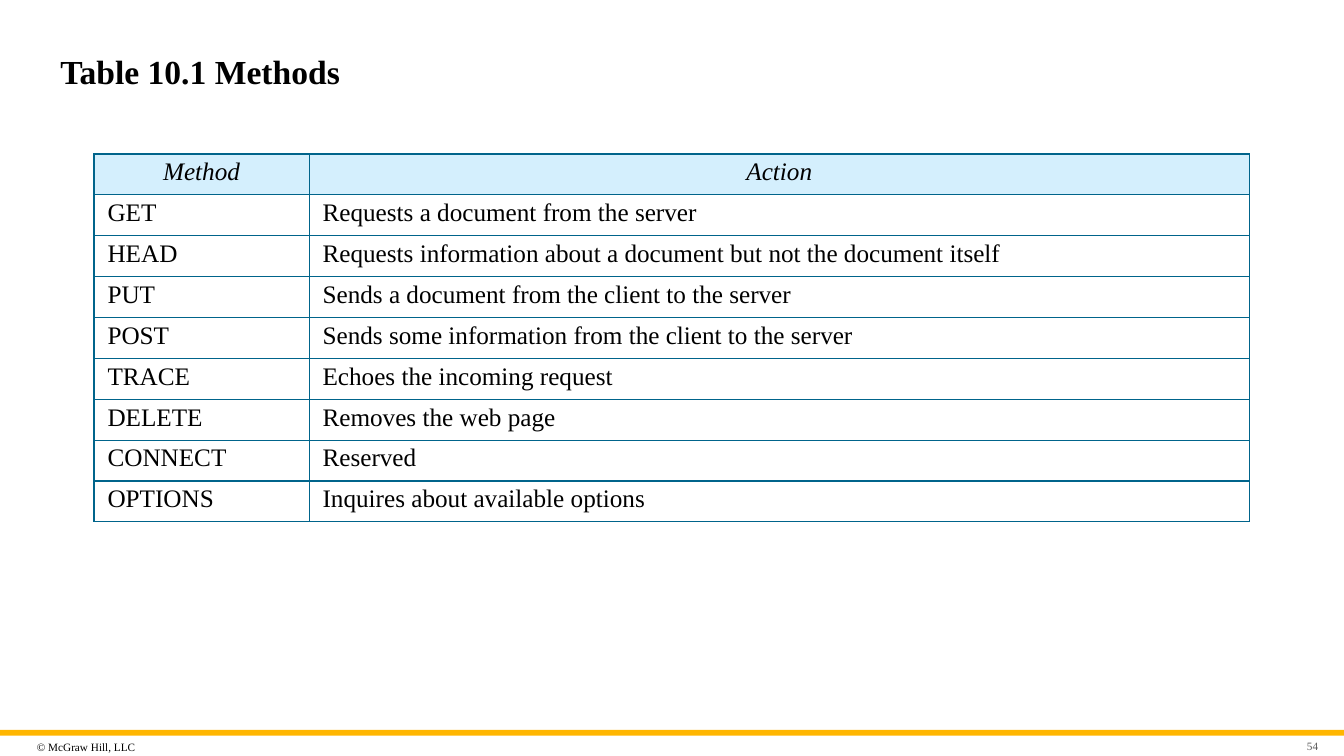
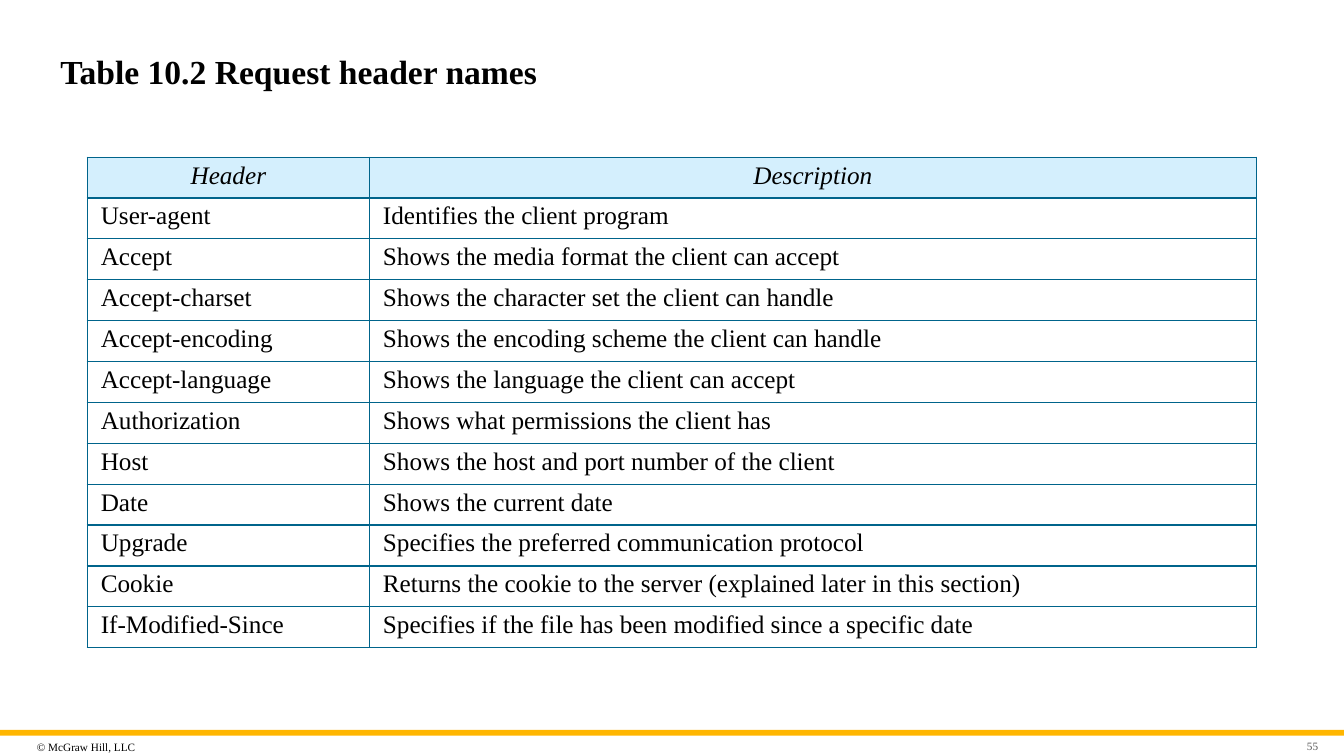
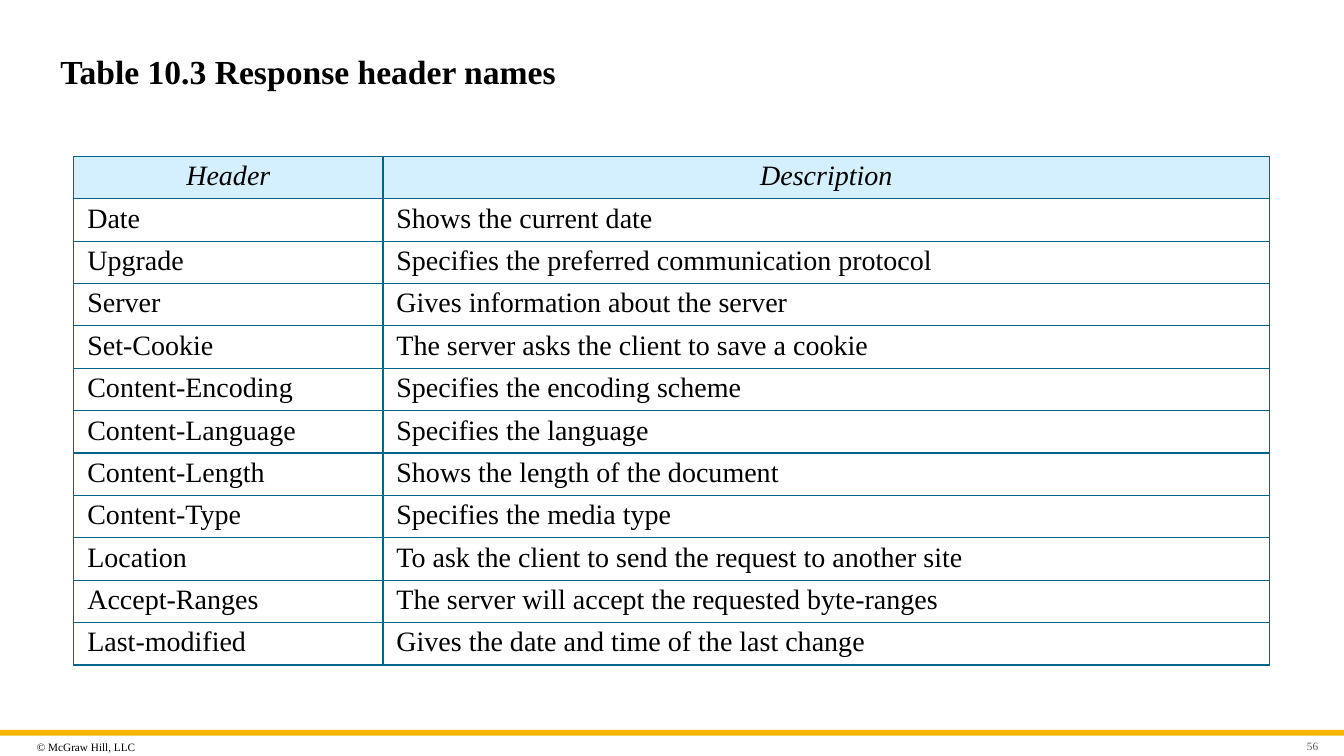
"""Build three slides with tables of web methods and header names."""
from dataclasses import dataclass

from lxml import etree
from pptx import Presentation
from pptx.dml.color import RGBColor
from pptx.enum.shapes import MSO_SHAPE
from pptx.enum.text import MSO_ANCHOR, PP_ALIGN
from pptx.oxml.ns import qn
from pptx.util import Cm, Pt

RECTANGLE = MSO_SHAPE.RECTANGLE
MIDDLE = MSO_ANCHOR.MIDDLE
LEFT, CENTER, RIGHT = PP_ALIGN.LEFT, PP_ALIGN.CENTER, PP_ALIGN.RIGHT
BLANK_LAYOUT = 6
PAGE_WIDTH, PAGE_HEIGHT = 33.87, 19.05
FIRST_NUMBER = 54
COPYRIGHT = "© McGraw Hill, LLC"


@dataclass(frozen=True)
class Theme:
    """Colours, font and type sizes shared by all slides."""

    font: str = "Times New Roman"
    ink: str = "000000"
    muted: str = "595959"
    band: str = "FFB600"
    header: str = "D4EFFD"
    border: str = "00648B"
    border_width: float = 1
    title_size: int = 24
    footer_size: int = 8


THEME = Theme()


@dataclass(frozen=True)
class TablePage:
    """The title, table geometry in centimetres and rows of one slide."""

    title: str
    left: float
    top: float
    columns: tuple
    row_height: float
    size: int
    rows: tuple


PAGES = (
    TablePage("Table 10.1 Methods", 2.37, 3.88, (5.42, 23.7), 1.03, 18, (
        ("Method", "Action"),
        ("GET", "Requests a document from the server"),
        ("HEAD", "Requests information about a document but not the document itself"),
        ("PUT", "Sends a document from the client to the server"),
        ("POST", "Sends some information from the client to the server"),
        ("TRACE", "Echoes the incoming request"),
        ("DELETE", "Removes the web page"),
        ("CONNECT", "Reserved"),
        ("OPTIONS", "Inquires about available options"),
    )),
    TablePage("Table 10.2 Request header names", 2.2, 3.96, (7.11, 22.35), 1.03, 18, (
        ("Header", "Description"),
        ("User-agent", "Identifies the client program"),
        ("Accept", "Shows the media format the client can accept"),
        ("Accept-charset", "Shows the character set the client can handle"),
        ("Accept-encoding", "Shows the encoding scheme the client can handle"),
        ("Accept-language", "Shows the language the client can accept"),
        ("Authorization", "Shows what permissions the client has"),
        ("Host", "Shows the host and port number of the client"),
        ("Date", "Shows the current date"),
        ("Upgrade", "Specifies the preferred communication protocol"),
        ("Cookie", "Returns the cookie to the server (explained later in this section)"),
        ("If-Modified-Since", "Specifies if the file has been modified since a specific date"),
    )),
    TablePage("Table 10.3 Response header names", 1.86, 3.94, (7.79, 22.35), 1.04, 20, (
        ("Header", "Description"),
        ("Date", "Shows the current date"),
        ("Upgrade", "Specifies the preferred communication protocol"),
        ("Server", "Gives information about the server"),
        ("Set-Cookie", "The server asks the client to save a cookie"),
        ("Content-Encoding", "Specifies the encoding scheme"),
        ("Content-Language", "Specifies the language"),
        ("Content-Length", "Shows the length of the document"),
        ("Content-Type", "Specifies the media type"),
        ("Location", "To ask the client to send the request to another site"),
        ("Accept-Ranges", "The server will accept the requested byte-ranges"),
        ("Last-modified", "Gives the date and time of the last change"),
    )),
)


def write(frame, text, size, color=THEME.ink, align=LEFT, bold=False, italic=False):
    """Put one styled paragraph into a text frame."""
    para = frame.paragraphs[0]
    para.text = text
    para.alignment = align
    font = para.font
    font.name, font.size = THEME.font, Pt(size)
    font.bold, font.italic = bold, italic
    font.color.rgb = RGBColor.from_string(color)


def add_text(page, place, text, size, inset, **style):
    """Add a wrapped, vertically centred text box."""
    box = page.shapes.add_textbox(*map(Cm, place))
    frame = box.text_frame
    frame.word_wrap = True
    frame.vertical_anchor = MIDDLE
    frame.margin_left = frame.margin_right = Cm(inset)
    frame.margin_top = frame.margin_bottom = Cm(0.13)
    write(frame, text, size, **style)


def add_band(page):
    """Add the coloured band above the footer."""
    band = page.shapes.add_shape(RECTANGLE, 0, Cm(18.39), Cm(PAGE_WIDTH), Cm(0.15))
    band.shadow.inherit = False
    band.fill.solid()
    band.fill.fore_color.rgb = RGBColor.from_string(THEME.band)
    band.line.fill.background()


def add_frame(page, title, number):
    """Add the title, band and footer shared by all slides."""
    add_band(page)
    add_text(page, (0.8, 18.52, 4.57, 0.61), COPYRIGHT, THEME.footer_size, 0.13)
    add_text(page, (1.27, 0.84, 31.32, 1.88), title, THEME.title_size, 0.25, bold=True)
    add_text(page, (32.03, 18.57, 1.32, 0.46), str(number), THEME.footer_size, 0.13,
             color=THEME.muted, align=RIGHT)


def set_borders(cell):
    """Draw the four borders of a table cell."""
    properties = cell._tc.get_or_add_tcPr()
    for side in ("a:lnL", "a:lnR", "a:lnT", "a:lnB"):
        line = etree.SubElement(properties, qn(side), w=str(Pt(THEME.border_width)))
        fill = etree.SubElement(line, qn("a:solidFill"))
        etree.SubElement(fill, qn("a:srgbClr"), val=THEME.border)


def fill_cell(cell, text, size, is_header):
    """Write and style one table cell."""
    cell.margin_left = cell.margin_right = Cm(0.34)
    cell.margin_top = cell.margin_bottom = Cm(0.11)
    set_borders(cell)
    if is_header:
        cell.fill.solid()
        cell.fill.fore_color.rgb = RGBColor.from_string(THEME.header)
    else:
        cell.fill.background()
    write(cell.text_frame, text, size, align=CENTER if is_header else LEFT, italic=is_header)


def add_grid(page, content):
    """Add the table of one slide."""
    count = len(content.rows)
    table = page.shapes.add_table(
        count, len(content.columns), Cm(content.left), Cm(content.top),
        Cm(sum(content.columns)), Cm(count * content.row_height)).table
    table.horz_banding = False
    for column, width in zip(table.columns, content.columns):
        column.width = Cm(width)
    for index, (row, texts) in enumerate(zip(table.rows, content.rows)):
        row.height = Cm(content.row_height)
        for cell, text in zip(row.cells, texts):
            fill_cell(cell, text, content.size, index == 0)


def main():
    """Build and save the deck."""
    deck = Presentation()
    deck.slide_width, deck.slide_height = Cm(PAGE_WIDTH), Cm(PAGE_HEIGHT)
    for number, content in enumerate(PAGES, FIRST_NUMBER):
        page = deck.slides.add_slide(deck.slide_layouts[BLANK_LAYOUT])
        add_frame(page, content.title, number)
        add_grid(page, content)
    deck.save("out.pptx")


if __name__ == "__main__":
    main()
